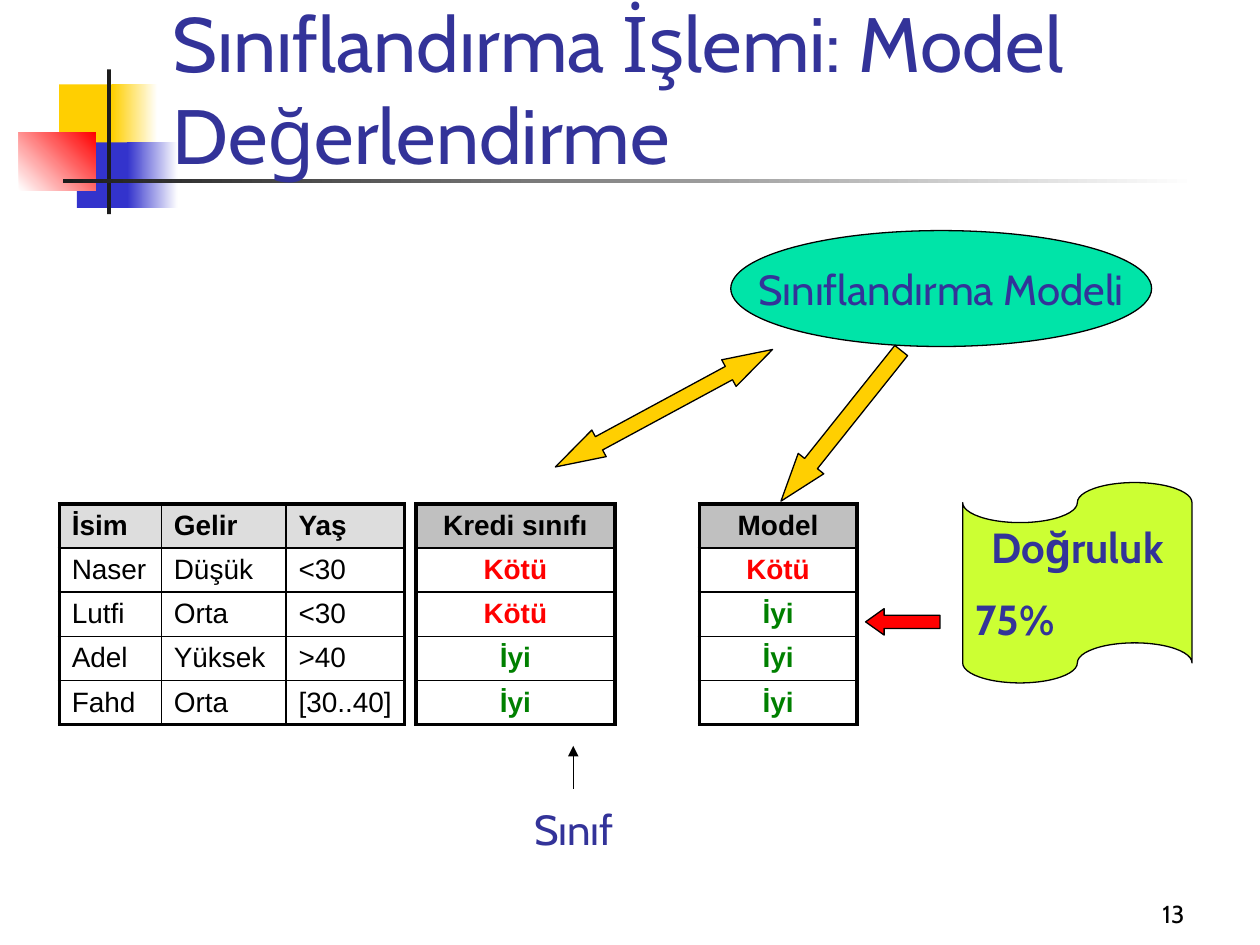
from lxml.etree import SubElement
from pptx import Presentation
from pptx.dml.color import RGBColor
from pptx.enum.shapes import MSO_CONNECTOR, MSO_SHAPE
from pptx.enum.text import MSO_ANCHOR, PP_ALIGN
from pptx.oxml.ns import qn
from pptx.util import Inches, Pt

COLORS = {
    "yellow": "FFCF01", "blue": "3333CC", "red": "FF0000", "white": "FFFFFF",
    "dark": "1C1C1C", "black": "000000", "text": "333399", "teal": "00E4A8",
    "lime": "CCFF33", "green": "008000", "light_gray": "DDDDDD", "gray": "C0C0C0",
}
CLASS_COLORS = {"Kötü": "red", "İyi": "green"}
DECORATIONS = [
    # left, top, width, height, colours from start to end, angle
    (0.47, 0.67, 0.48, 0.52, ["yellow"], 0),
    (0.89, 0.67, 0.36, 0.52, ["yellow", "white"], 0),
    (0.61, 1.13, 0.46, 0.52, ["blue"], 0),
    (1.01, 1.13, 0.4, 0.52, ["blue", "white"], 0),
    (0.15, 1.05, 0.61, 0.46, ["white", "red"], 45),
    (0.85, 0.55, 0.03, 1.15, ["dark"], 0),
    (0.5, 1.42, 9, 0.03, ["dark", "white"], 0),
]
CUSTOMERS = [
    ["İsim", "Gelir", "Yaş"],
    ["Naser", "Düşük", "<30"],
    ["Lutfi", "Orta", "<30"],
    ["Adel", "Yüksek", ">40"],
    ["Fahd", "Orta", "[30..40]"],
]
CREDIT_CLASSES = [["Kredi sınıfı"], ["Kötü"], ["Kötü"], ["İyi"], ["İyi"]]
MODEL_CLASSES = [["Model"], ["Kötü"], ["İyi"], ["İyi"], ["İyi"]]
TABLE_TOP = 4
ROW_HEIGHT = 0.35


def rgb(name):
    return RGBColor.from_string(COLORS[name])


def add_run(paragraph, text, size, color="text", font="Cabin", bold=False):
    run = paragraph.add_run()
    run.text = text
    run.font.name = font
    run.font.size = Pt(size)
    run.font.bold = bold
    run.font.color.rgb = rgb(color)


def add_text_box(slide, box, lines, size, color="text", wrap=True,
                 anchor=MSO_ANCHOR.TOP, align=PP_ALIGN.LEFT):
    frame = slide.shapes.add_textbox(*map(Inches, box)).text_frame
    frame.word_wrap = wrap
    frame.vertical_anchor = anchor
    paragraph = frame.paragraphs[0]
    paragraph.alignment = align
    for index, line in enumerate(lines):
        if index:
            paragraph.add_line_break()
        add_run(paragraph, line, size, color)


def add_decoration(slide, left, top, width, height, colors, angle):
    shape = slide.shapes.add_shape(
        MSO_SHAPE.RECTANGLE, *map(Inches, (left, top, width, height)))
    shape.shadow.inherit = False
    shape.line.fill.background()
    if len(colors) == 1:
        shape.fill.solid()
        shape.fill.fore_color.rgb = rgb(colors[0])
        return
    shape.fill.gradient()
    shape.fill.gradient_angle = angle
    for position, (stop, color) in enumerate(zip(shape.fill.gradient_stops, colors)):
        stop.position = position
        stop.color.rgb = rgb(color)


def add_outlined_shape(slide, kind, box, fill, rotation=0, head_length=None):
    """Add a shape with a thin black outline; head_length is for block arrows."""
    shape = slide.shapes.add_shape(kind, *map(Inches, box))
    shape.shadow.inherit = False
    shape.fill.solid()
    shape.fill.fore_color.rgb = rgb(fill)
    shape.line.color.rgb = rgb("black")
    shape.line.width = Pt(0.75)
    shape.rotation = rotation
    if head_length:
        shape.adjustments[1] = head_length
    return shape


def add_shape_text(shape, lines, wrap, bold=False):
    """Fill a shape with (text, alignment) paragraphs."""
    frame = shape.text_frame
    frame.word_wrap = wrap
    frame.vertical_anchor = MSO_ANCHOR.MIDDLE
    for index, (text, align) in enumerate(lines):
        paragraph = frame.add_paragraph() if index else frame.paragraphs[0]
        paragraph.alignment = align
        if index:
            paragraph.space_before = Pt(12)
        add_run(paragraph, text, 24, bold=bold)


def set_borders(cell, outer_sides):
    properties = cell._tc.get_or_add_tcPr()
    for side in "LRTB":
        width = Pt(2.25) if side in outer_sides else Pt(1)
        line = SubElement(properties, qn(f"a:ln{side}"), w=str(width))
        fill = SubElement(line, qn("a:solidFill"))
        SubElement(fill, qn("a:srgbClr"), val=COLORS["black"])


def add_table(slide, left, widths, rows, header_fill, align):
    box = (left, TABLE_TOP, sum(widths), ROW_HEIGHT * len(rows))
    table = slide.shapes.add_table(
        len(rows), len(widths), *map(Inches, box)).table
    table.first_row = False
    table.horz_banding = False
    for column, width in zip(table.columns, widths):
        column.width = Inches(width)
    for r, row in enumerate(rows):
        table.rows[r].height = Inches(ROW_HEIGHT)
        for c, text in enumerate(row):
            cell = table.cell(r, c)
            edges = {"L": c == 0, "R": c == len(row) - 1,
                     "T": r == 0, "B": r == len(rows) - 1}
            set_borders(cell, [side for side, outer in edges.items() if outer])
            if r == 0:
                cell.fill.solid()
                cell.fill.fore_color.rgb = rgb(header_fill)
            else:
                cell.fill.background()
            cell.margin_top = cell.margin_bottom = Inches(0.04)
            cell.margin_right = Inches(0.1 if align == PP_ALIGN.CENTER else 0.05)
            cell.vertical_anchor = MSO_ANCHOR.MIDDLE
            paragraph = cell.text_frame.paragraphs[0]
            paragraph.alignment = align
            add_run(paragraph, text, 16, CLASS_COLORS.get(text, "black"), "Arial",
                    bold=r == 0 or text in CLASS_COLORS)


def add_arrow(slide, start, end):
    connector = slide.shapes.add_connector(
        MSO_CONNECTOR.STRAIGHT, *map(Inches, start + end))
    connector.line.color.rgb = rgb("black")
    connector.line.width = Pt(0.75)
    SubElement(connector.line._get_or_add_ln(), qn("a:tailEnd"), type="triangle")
    SubElement(connector._element.spPr, qn("a:effectLst"))


def main():
    presentation = Presentation()
    presentation.slide_width = Inches(10)
    presentation.slide_height = Inches(7.5)
    slide = presentation.slides.add_slide(presentation.slide_layouts[6])

    for decoration in DECORATIONS:
        add_decoration(slide, *decoration)
    add_text_box(slide, (1.27, 0.23, 8.52, 1.25),
                 ["Sınıflandırma İşlemi: Model", "Değerlendirme"], 44,
                 anchor=MSO_ANCHOR.BOTTOM)
    add_text_box(slide, (7.42, 6.92, 2.08, 0.5), ["13"], 14, "black",
                 anchor=MSO_ANCHOR.BOTTOM, align=PP_ALIGN.RIGHT)

    add_table(slide, 0.47, [0.81, 0.99, 0.94], CUSTOMERS, "light_gray", PP_ALIGN.LEFT)
    add_outlined_shape(slide, MSO_SHAPE.LEFT_RIGHT_ARROW, (4.29, 3.12, 1.96, 0.24),
                       "yellow", 331.6, 1.64)
    model = add_outlined_shape(slide, MSO_SHAPE.OVAL, (5.8, 1.83, 3.34, 0.92), "teal")
    add_shape_text(model, [("Sınıflandırma Modeli", PP_ALIGN.CENTER)], wrap=False)
    add_table(slide, 3.3, [1.58], CREDIT_CLASSES, "gray", PP_ALIGN.CENTER)
    add_arrow(slide, (4.55, 6.26), (4.55, 5.92))

    accuracy = add_outlined_shape(slide, MSO_SHAPE.FLOWCHART_PUNCHED_TAPE,
                                  (7.64, 3.83, 1.82, 1.59), "lime")
    add_shape_text(accuracy, [("Doğruluk", PP_ALIGN.CENTER), ("75%", PP_ALIGN.LEFT)],
                   wrap=True, bold=True)
    add_outlined_shape(slide, MSO_SHAPE.RIGHT_ARROW, (6.87, 4.83, 0.59, 0.21),
                       "red", 180, 0.7)
    add_table(slide, 5.55, [1.25], MODEL_CLASSES, "gray", PP_ALIGN.CENTER)
    add_outlined_shape(slide, MSO_SHAPE.RIGHT_ARROW, (5.91, 3.25, 1.53, 0.26),
                       "yellow", 128.6, 1.47)
    add_text_box(slide, (4.14, 6.33, 0.84, 0.5), ["Sınıf"], 24, wrap=False)

    presentation.save("out.pptx")


if __name__ == "__main__":
    main()
